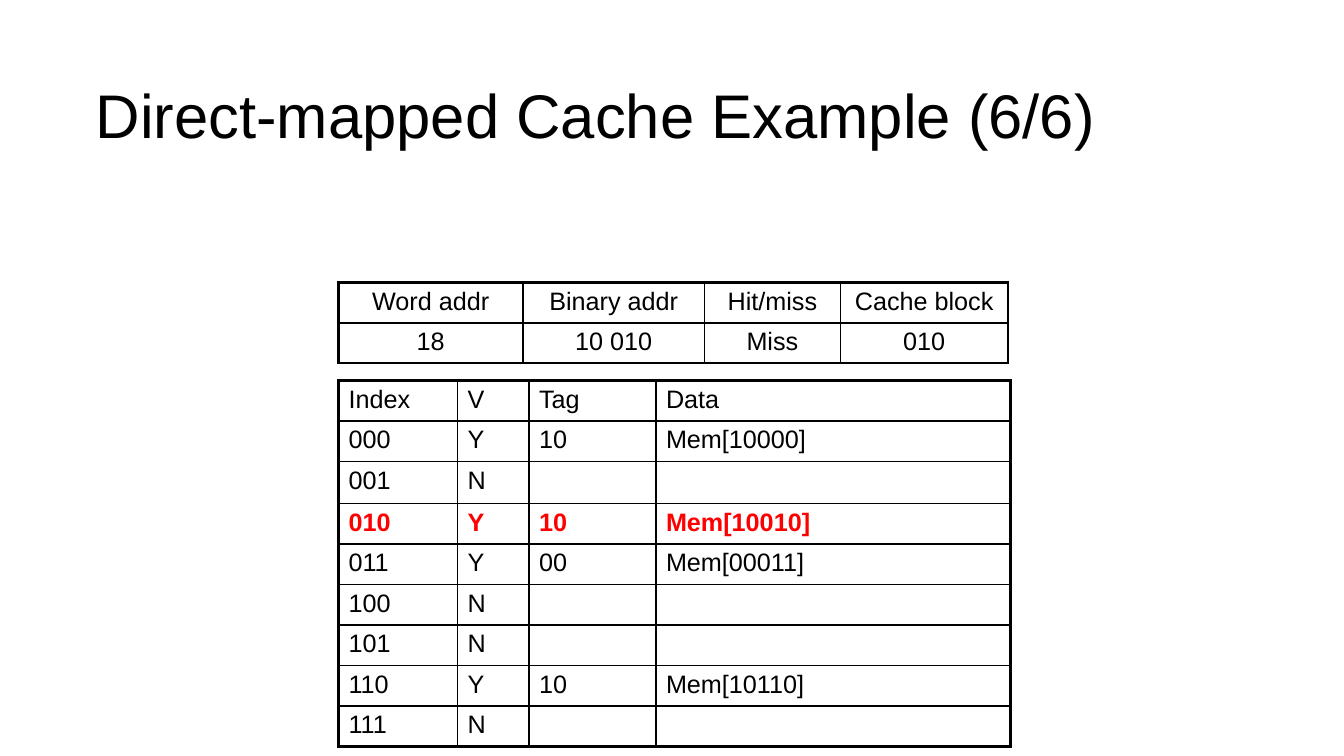
from pptx import Presentation, util as u
from pptx.dml import color
from pptx.enum import text
from pptx.oxml import ns
from lxml import etree

FONT, INK, MARK = "Arial", "000000", "FF0000"
TITLE = "Direct-mapped Cache Example (6/6)"
CACHE = [
    ("Index", "V", "Tag", "Data"),
    ("000", "Y", "10", "Mem[10000]"),
    ("001", "N", "", ""),
    ("010", "Y", "10", "Mem[10010]"),
    ("011", "Y", "00", "Mem[00011]"),
    ("100", "N", "", ""),
    ("101", "N", "", ""),
    ("110", "Y", "10", "Mem[10110]"),
    ("111", "N", "", ""),
]
ACCESS = [
    ("Word addr", "Binary addr", "Hit/miss", "Cache block"),
    ("18", "10 010", "Miss", "010"),
]
LEFT, ROW, TALL = 8.53, 1.02, 1.07
THIN, HEAD, EDGE = 1, 1.5, 2.25


def hue(code):
    return color.RGBColor.from_string(code)


def write(para, words, size, tint=INK, bold=False):
    run = para.add_run()
    run.text = words
    run.font.name = FONT
    run.font.size = u.Pt(size)
    run.font.bold = bold
    run.font.color.rgb = hue(tint)


def border(cell, side, width):
    props = cell._tc.get_or_add_tcPr()
    line = etree.SubElement(props, ns.qn("a:ln" + side), w=str(u.Pt(width)))
    fill = etree.SubElement(line, ns.qn("a:solidFill"))
    etree.SubElement(fill, ns.qn("a:srgbClr"), val=INK)


def grid(slide, rows, top, widths, align, hot=None, tall=None):
    highs = [TALL if r == tall else ROW for r in range(len(rows))]
    frame = slide.shapes.add_table(
        len(rows), len(widths), u.Cm(LEFT), u.Cm(top),
        u.Cm(sum(widths)), u.Cm(sum(highs)))
    table = frame.table
    table.first_row = table.horz_banding = False
    for col, width in zip(table.columns, widths):
        col.width = u.Cm(width)
    for r, row in enumerate(rows):
        table.rows[r].height = u.Cm(highs[r])
        for c, words in enumerate(row):
            cell = table.cell(r, c)
            border(cell, "L", EDGE if c == 0 else THIN)
            border(cell, "R", EDGE if c == len(row) - 1 else THIN)
            border(cell, "T", {0: EDGE, 1: HEAD}.get(r, THIN))
            border(cell, "B", EDGE if r == len(rows) - 1
                   else HEAD if r == 0 else THIN)
            cell.fill.background()
            para = cell.text_frame.paragraphs[0]
            para.alignment = align
            para.font.size = u.Pt(18)
            if words:
                write(para, words, 18, MARK if r == hot else INK, r == hot)


def main():
    deck = Presentation()
    deck.slide_width, deck.slide_height = u.Cm(33.87), u.Cm(19.05)
    slide = deck.slides.add_slide(deck.slide_layouts[6])
    box = slide.shapes.add_textbox(u.Cm(2.16), u.Cm(1.73), u.Cm(27), u.Cm(2.51))
    frame = box.text_frame
    frame.word_wrap = True
    frame.vertical_anchor = text.MSO_ANCHOR.MIDDLE
    para = frame.paragraphs[0]
    para.line_spacing = 0.9
    write(para, TITLE, 44)
    grid(slide, CACHE, 9.58, (3, 1.8, 3.2, 8.94), text.PP_ALIGN.LEFT,
         hot=3, tall=2)
    grid(slide, ACCESS, 7.11, (4.65, 4.57, 3.43, 4.22), text.PP_ALIGN.CENTER)
    deck.save("out.pptx")


if __name__ == "__main__":
    main()
